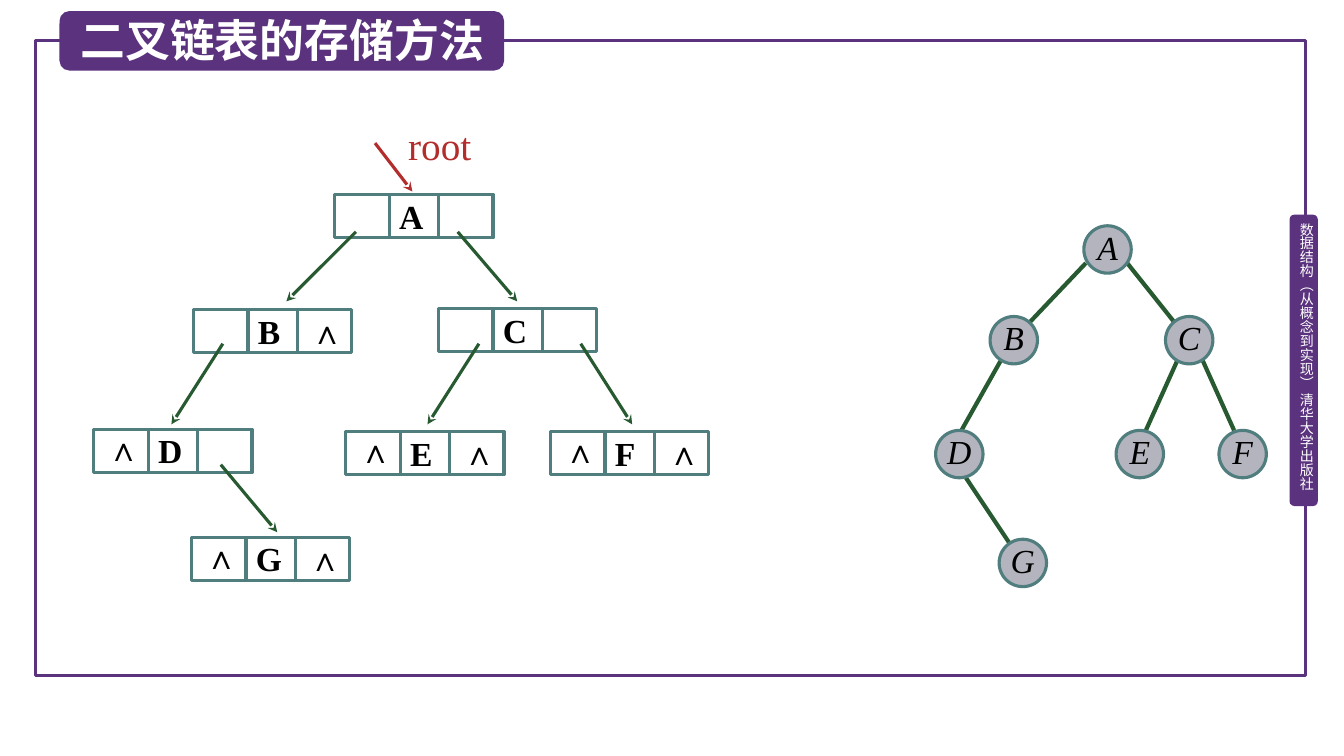
from dataclasses import dataclass

from lxml.etree import SubElement
from pptx import Presentation
from pptx.dml.color import RGBColor
from pptx.enum.shapes import MSO_CONNECTOR as Link, MSO_SHAPE as Shape
from pptx.enum.text import MSO_ANCHOR as Anchor, PP_ALIGN as Align
from pptx.oxml.ns import qn
from pptx.util import Inches, Pt

TITLE = "二叉链表的存储方法"
SIDE_LABEL = "数据结构（从概念到实现） 清华大学出版社"
ROOT_LABEL = "root"
NULL = "∧"

# letter: (left, top, left link is null, right link is null)
RECORDS = {
    "A": (3.32, 1.93, False, False),
    "B": (1.92, 3.07, False, True),
    "C": (4.35, 3.06, False, False),
    "D": (0.93, 4.26, True, False),
    "E": (3.43, 4.28, True, True),
    "F": (5.46, 4.28, True, True),
    "G": (1.9, 5.33, True, True),
}
POINTERS = [
    (3.53, 2.3, 2.84, 2.99),
    (4.54, 2.3, 5.13, 2.99),
    (2.21, 3.41, 1.7, 4.21),
    (4.75, 3.41, 4.24, 4.21),
    (5.76, 3.41, 6.27, 4.21),
    (2.19, 4.61, 2.75, 5.28),
]
ROOT_POINTER = (3.72, 1.42, 4.09, 1.9)

# letter: (left, top)
NODES = {
    "A": (10.75, 2.24),
    "B": (9.82, 3.14),
    "C": (11.56, 3.14),
    "D": (9.28, 4.27),
    "E": (11.07, 4.27),
    "F": (12.09, 4.27),
    "G": (9.91, 5.35),
}
EDGES = [
    (10.77, 2.61, 10.21, 3.2),
    (11.18, 2.61, 11.65, 3.2),
    (9.93, 3.57, 9.53, 4.28),
    (9.58, 4.74, 10.02, 5.4),
    (11.68, 3.57, 11.36, 4.28),
    (11.93, 3.58, 12.24, 4.27),
]

RECORD_W, RECORD_H = 1.57, 0.43
DATA_DX, DATA_W = 0.54, 0.49
NULL_OFFSETS = ((0.07, -0.02), (1.1, 0))
NULL_W, NULL_H = 0.46, 0.4
NODE_D = 0.47


@dataclass(frozen=True)
class Theme:
    purple: str = "5A327D"
    green: str = "285A32"
    teal: str = "507D7D"
    grey: str = "B4B4BE"
    red: str = "B42D2D"
    black: str = "000000"
    white: str = "FFFFFF"
    cjk: str = "Noto Sans CJK SC"
    serif: str = "Times New Roman"
    title: int = 32
    root: int = 28
    letter: int = 24
    side: int = 10
    outline: float = 2.25
    edge: float = 3


T = Theme()
DEFAULT_INSETS = (0.1, 0.05, 0.1, 0.05)


def add_box(slide, kind, at, fill=None, line=None):
    s = slide.shapes.add_shape(kind, *map(Inches, at))
    s.shadow.inherit = False
    if fill:
        s.fill.solid()
        s.fill.fore_color.rgb = RGBColor.from_string(fill)
    else:
        s.fill.background()
    if line:
        s.line.color.rgb = RGBColor.from_string(line)
        s.line.width = Pt(T.outline)
    else:
        s.line.fill.background()
    return s


def write(s, text, size, font=T.serif, color=T.black, bold=False, italic=False,
          align=Align.LEFT, insets=DEFAULT_INSETS, anchor=Anchor.MIDDLE):
    tf = s.text_frame
    tf.word_wrap = True
    tf.vertical_anchor = anchor
    (tf.margin_left, tf.margin_top,
     tf.margin_right, tf.margin_bottom) = map(Inches, insets)
    p = tf.paragraphs[0]
    p.alignment = align
    r = p.add_run()
    r.text = text
    r.font.name = font
    r.font.size = Pt(size)
    r.font.bold = bold
    r.font.italic = italic
    r.font.color.rgb = RGBColor.from_string(color)
    SubElement(r.font._element, qn("a:ea")).set("typeface", font)
    return p


def add_text(slide, at, text, size, **style):
    s = slide.shapes.add_textbox(*map(Inches, at))
    write(s, text, size, **style)
    return s


def add_line(slide, ends, color, width, arrow=False):
    s = slide.shapes.add_connector(Link.STRAIGHT, *map(Inches, ends))
    s.line.color.rgb = RGBColor.from_string(color)
    s.line.width = Pt(width)
    if arrow:
        SubElement(s.line._get_or_add_ln(), qn("a:tailEnd")).set("type", "stealth")
    SubElement(s._element.spPr, qn("a:effectLst"))


def add_frame(slide):
    add_box(slide, Shape.RECTANGLE, (0.35, 0.4, 12.6, 6.3), line=T.purple)
    add_box(slide, Shape.ROUNDED_RECTANGLE, (12.79, 2.13, 0.28, 2.89), fill=T.purple)
    side = add_text(slide, (12.87, 2.21, 0.17, 2.81), SIDE_LABEL, T.side, font=T.cjk,
                    color=T.white, insets=(0, 0, 0, 0), anchor=Anchor.TOP)
    side.text_frame._bodyPr.set("vert", "eaVert")
    add_box(slide, Shape.ROUNDED_RECTANGLE, (0.59, 0.11, 4.41, 0.59), fill=T.purple)
    add_text(slide, (0.7, 0.07, 4.31, 0.64), TITLE, T.title, font=T.cjk,
             color=T.white, bold=True)


def add_record(slide, letter, x, y, nulls):
    """Draw one linked-list record: left link, data, right link."""
    add_box(slide, Shape.RECTANGLE, (x, y, RECORD_W, RECORD_H), line=T.teal)
    data = add_box(slide, Shape.RECTANGLE, (x + DATA_DX, y, DATA_W, RECORD_H), line=T.teal)
    write(data, letter, T.letter, bold=True, align=Align.JUSTIFY,
          insets=(0.1, 0, 0.02, 0.01))
    for is_null, (dx, dy) in zip(nulls, NULL_OFFSETS):
        if is_null:
            add_text(slide, (x + dx, y + dy, NULL_W, NULL_H), NULL, T.letter, bold=True,
                     insets=(0.06, 0.01, 0.02, 0.01), anchor=Anchor.TOP)


def add_node(slide, letter, x, y):
    s = add_box(slide, Shape.OVAL, (x, y, NODE_D, NODE_D), T.grey, T.teal)
    p = write(s, letter, T.letter, italic=True, align=Align.CENTER, insets=(0, 0, 0, 0))
    p.line_spacing = Pt(25)


def main():
    prs = Presentation()
    prs.slide_width, prs.slide_height = Inches(13.33), Inches(7.5)
    slide = prs.slides.add_slide(prs.slide_layouts[6])
    add_frame(slide)
    for ends in EDGES:
        add_line(slide, ends, T.green, T.edge)
    for letter, (x, y) in NODES.items():
        add_node(slide, letter, x, y)
    for letter, (x, y, *nulls) in RECORDS.items():
        add_record(slide, letter, x, y, nulls)
    for ends in POINTERS:
        add_line(slide, ends, T.green, T.outline, arrow=True)
    add_line(slide, ROOT_POINTER, T.red, T.outline, arrow=True)
    add_text(slide, (3.95, 1.15, 1.41, 0.57), ROOT_LABEL, T.root, color=T.red)
    prs.save("out.pptx")


if __name__ == "__main__":
    main()
